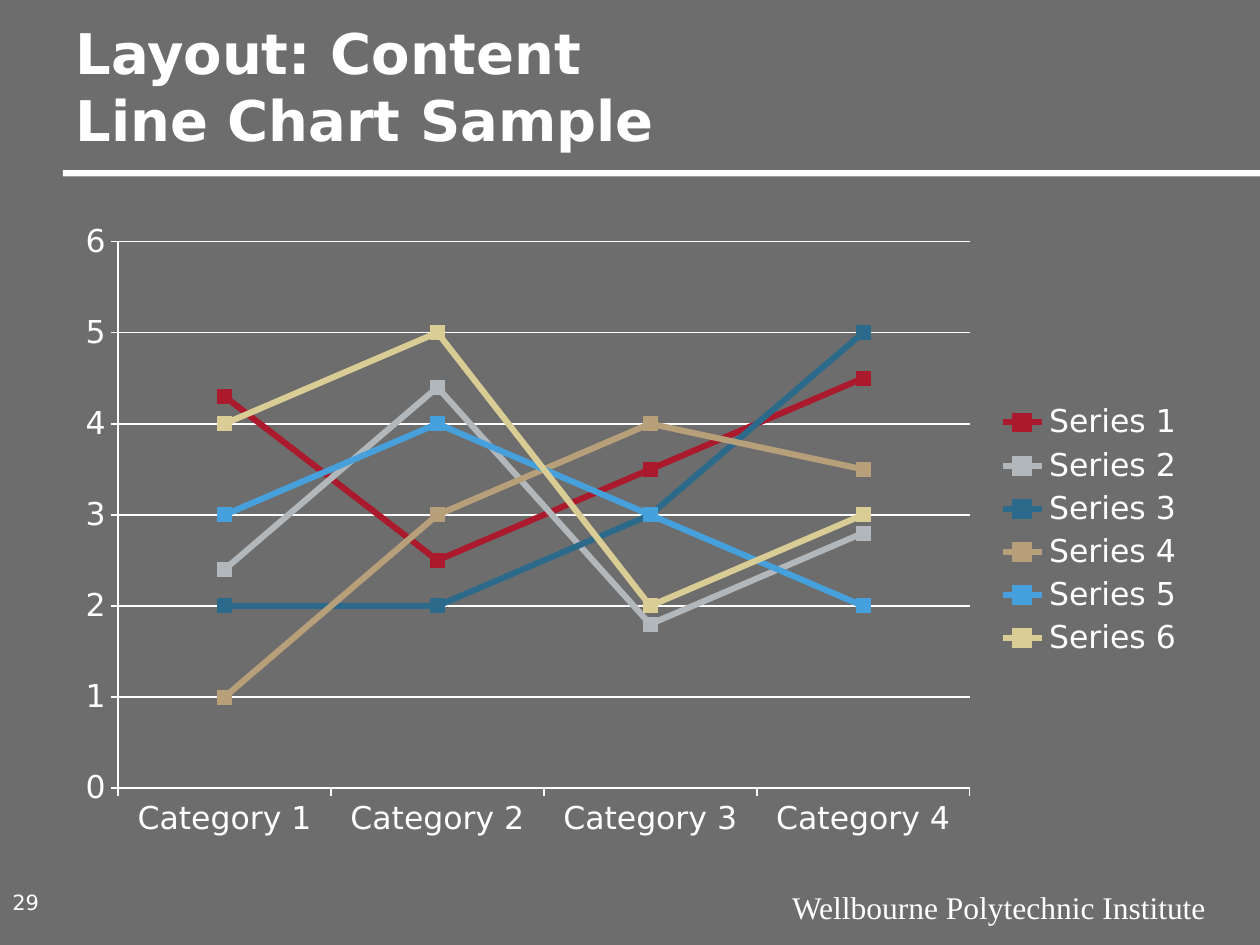
from dataclasses import dataclass

from pptx import Presentation
from pptx import util as u
from pptx.chart.data import CategoryChartData
from pptx.dml.color import RGBColor
from pptx.enum import chart as ch, shapes, text


@dataclass(frozen=True)
class Theme:
    back: str = "6D6D6D"
    ink: str = "FFFFFF"
    sans: str = "DejaVu Sans"
    serif: str = "Times New Roman"
    title: int = 32
    body: int = 18
    small: int = 12
    lines: tuple = ("AB192D", "B2B7BB", "2C6A8C", "B7A079", "46A0DC", "D9CD95")


THEME = Theme()
VALUES = [
    (4.3, 2.5, 3.5, 4.5),
    (2.4, 4.4, 1.8, 2.8),
    (2, 2, 3, 5),
    (1, 3, 4, 3.5),
    (3, 4, 3, 2),
    (4, 5, 2, 3),
]


def assign(item, **values):
    for name, value in values.items():
        setattr(item, name, value)


def paint(fill, color):
    fill.solid()
    fill.fore_color.rgb = RGBColor.from_string(color)


def style(font, size, face=THEME.sans, bold=False):
    assign(font, size=u.Pt(size), name=face, bold=bold)
    font.color.rgb = RGBColor.from_string(THEME.ink)


def add_text(slide, box, lines, size, face=THEME.sans, bold=False,
             anchor=text.MSO_ANCHOR.TOP, align=text.PP_ALIGN.LEFT):
    frame = slide.shapes.add_textbox(*box).text_frame
    assign(frame, word_wrap=True, vertical_anchor=anchor, text=lines)
    for para in frame.paragraphs:
        para.alignment = align
        for run in para.runs:
            style(run.font, size, face, bold)


def add_header(slide, left, top, width, height):
    """Place the title in the box, with a rule below that runs to the right edge."""
    add_text(slide, (left, top, width, height),
             "Layout: Content\vLine Chart Sample", THEME.title, bold=True,
             anchor=text.MSO_ANCHOR.BOTTOM)
    rule = slide.shapes.add_shape(
        shapes.MSO_SHAPE.RECTANGLE, left, top + height + u.Cm(0.23),
        width + u.Cm(1.27), u.Cm(0.13))
    rule.shadow.inherit = False
    paint(rule.fill, THEME.ink)
    rule.line.fill.background()


def add_graph(slide, *box):
    data = CategoryChartData()
    data.categories = [f"Category {n}" for n in range(1, 5)]
    for n, row in enumerate(VALUES, 1):
        data.add_series(f"Series {n}", row)
    chart = slide.shapes.add_chart(ch.XL_CHART_TYPE.LINE_MARKERS, *box, data).chart
    style(chart.font, THEME.body)
    assign(chart, has_title=False, has_legend=True)
    assign(chart.legend, position=ch.XL_LEGEND_POSITION.RIGHT, include_in_layout=False)
    chart.plots[0].vary_by_categories = False

    for axis in (chart.category_axis, chart.value_axis):
        assign(axis, major_tick_mark=ch.XL_TICK_MARK.OUTSIDE,
               minor_tick_mark=ch.XL_TICK_MARK.NONE)
        draw_line(axis.format.line, THEME.ink, 1)
    assign(chart.value_axis, minimum_scale=0, maximum_scale=6, major_unit=1,
           has_major_gridlines=True)
    draw_line(chart.value_axis.major_gridlines.format.line, THEME.ink, 1)

    for series, color in zip(chart.plots[0].series, THEME.lines):
        series.smooth = False
        draw_line(series.format.line, color, 3.5)
        mark = series.marker
        assign(mark, style=ch.XL_MARKER_STYLE.SQUARE, size=8)
        paint(mark.format.fill, color)
        draw_line(mark.format.line, color, 0.75)


def draw_line(line, color, width):
    paint(line.fill, color)
    line.width = u.Pt(width)


def add_footer(slide, left, top, width, height):
    add_text(slide, (left, top, u.Cm(1.27), height), "29", THEME.small,
             anchor=text.MSO_ANCHOR.MIDDLE)
    name = u.Cm(9.32)
    add_text(slide, (left + width - name, top + u.Cm(0.03), name, u.Cm(1.02)),
             "Wellbourne Polytechnic Institute", THEME.body, THEME.serif,
             align=text.PP_ALIGN.RIGHT)


def main():
    deck = Presentation()
    assign(deck, slide_width=u.Cm(25.4), slide_height=u.Cm(19.05))
    slide = deck.slides.add_slide(deck.slide_layouts[6])
    paint(slide.background.fill, THEME.back)
    left, width = u.Cm(1.27), u.Cm(22.86)
    add_header(slide, left, u.Cm(0.97), width, u.Cm(2.23))
    add_graph(slide, left, u.Cm(4.24), width, u.Cm(12.9))
    add_footer(slide, 0, u.Cm(17.75), u.Cm(24.56), u.Cm(0.86))
    deck.save("out.pptx")


if __name__ == "__main__":
    main()
